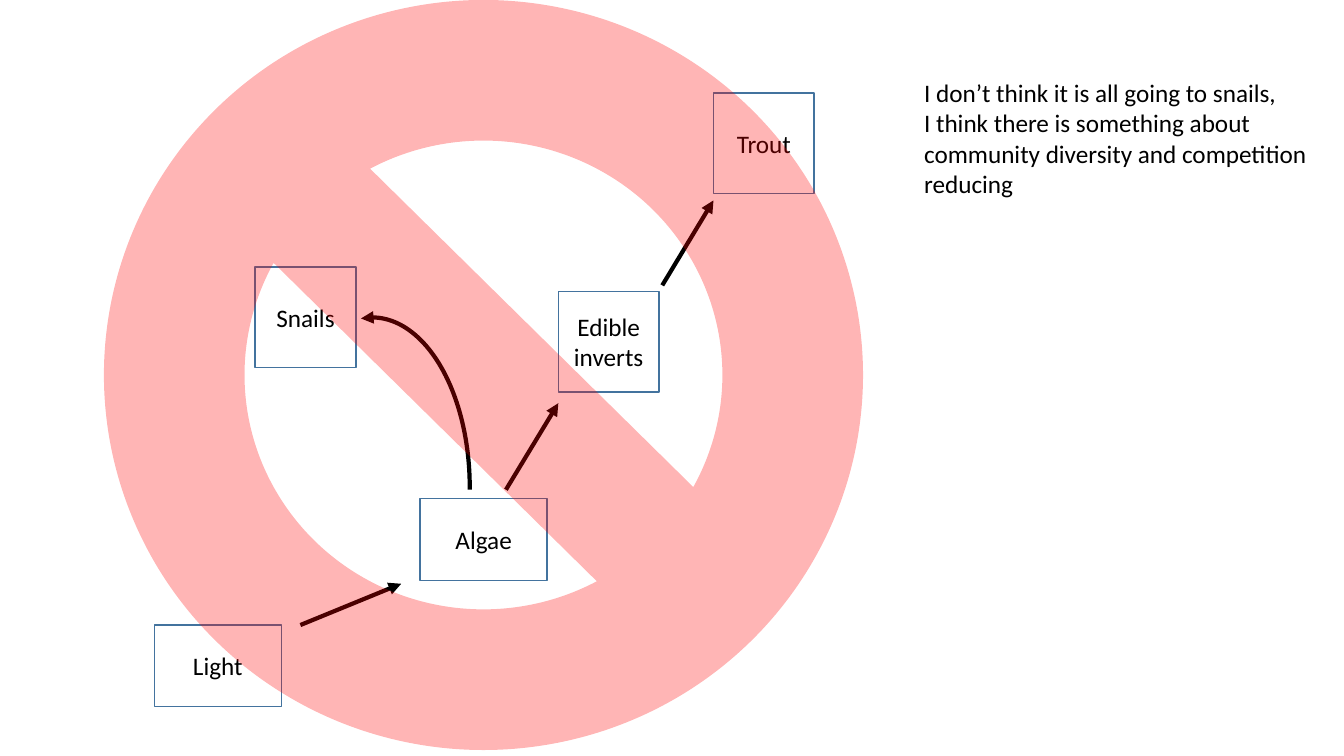
from pptx import Presentation
from pptx.dml.color import RGBColor
from pptx.enum import shapes, text
from pptx.oxml import ns, xmlchemy
from pptx.util import Cm, Pt

BLACK, BLUE, RED = "000000", "43739E", "FF0000"
SQUARE, WIDE = (2.54, 2.54), (3.2, 2.06)
ORGANISMS = [
    ("Snails", 3.81, 6.73, SQUARE),
    ("Edible inverts", 11.45, 7.34, SQUARE),
    ("Light", 1.27, 15.75, WIDE),
    ("Trout", 15.36, 2.34, SQUARE),
    ("Algae", 7.97, 12.57, WIDE),
]
FLOWS = [
    (10.13, 12.34, 11.45, 10.16),
    (14.07, 7.19, 15.36, 5.05),
    (4.95, 15.75, 7.49, 14.71),
]
REMARKS = [
    "I don’t think it is all going to snails,",
    "I think there is something about community diversity and competition reducing",
]


def colour(code):
    """Return the colour for a hex string."""
    return RGBColor.from_string(code)


def add_child(parent, tag, **attributes):
    """Append an XML element with the given attributes."""
    child = xmlchemy.OxmlElement(tag)
    for name, value in attributes.items():
        child.set(name, value)
    parent.append(child)


def write(para, words):
    """Add one run of body text to a paragraph."""
    span = para.add_run()
    span.text = words
    span.font.name, span.font.size = "Calibri", Pt(18)
    span.font.color.rgb = colour(BLACK)


def outline(item, code, width):
    """Give a shape or connector a solid line."""
    item.line.color.rgb = colour(code)
    item.line.width = Pt(width)


def add_arrowhead(item, end):
    """Put a triangle at the head or tail end of a line."""
    add_child(item.element.spPr.find(ns.qn("a:ln")), f"a:{end}End", type="triangle")


def add_plain_shape(page, kind, left, top, width, height):
    """Add an unfilled preset shape without shadow."""
    shape = page.shapes.add_shape(kind, Cm(left), Cm(top), Cm(width), Cm(height))
    shape.shadow.inherit = False
    shape.fill.background()
    return shape


def add_organism(page, name, left, top, size):
    """Draw one labelled box of the food web."""
    box = add_plain_shape(page, shapes.MSO_SHAPE.RECTANGLE, left, top, *size)
    outline(box, BLUE, 1)
    box.text_frame.vertical_anchor = text.MSO_ANCHOR.MIDDLE
    para = box.text_frame.paragraphs[0]
    para.alignment = text.PP_ALIGN.CENTER
    write(para, name)


def add_flow(page, x1, y1, x2, y2):
    """Draw one straight arrow of the food web."""
    arrow = page.shapes.add_connector(
        shapes.MSO_CONNECTOR.STRAIGHT, Cm(x1), Cm(y1), Cm(x2), Cm(y2))
    outline(arrow, BLACK, 3)
    add_arrowhead(arrow, "tail")
    add_child(arrow.element.spPr, "a:effectLst")


def add_curved_flow(page, left, top, width, height):
    """Draw the curved arrow from algae to snails."""
    curve = add_plain_shape(page, shapes.MSO_SHAPE.ARC, left, top, width, height)
    curve.adjustments[0], curve.adjustments[1] = 159.77, 0.84
    outline(curve, BLACK, 3)
    add_arrowhead(curve, "head")


def add_prohibition(page, left, top, width, height):
    """Cover the food web with a translucent prohibition sign."""
    sign = add_plain_shape(page, shapes.MSO_SHAPE.NO_SYMBOL, left, top, width, height)
    sign.fill.solid()
    sign.fill.fore_color.rgb = colour(RED)
    sign.line.fill.background()
    add_child(sign.element.spPr.find(ns.qn("a:solidFill"))[0], "a:alpha", val="29000")


def add_food_web(page, left, top, width, height):
    """Draw the crossed-out food web inside its box."""
    for name, x, y, size in ORGANISMS:
        add_organism(page, name, left + x, top + y, size)
    for x1, y1, x2, y2 in FLOWS:
        add_flow(page, left + x1, top + y1, left + x2, top + y2)
    add_curved_flow(page, left + 4.29, top + 8, 4.93, 8.56)
    add_prohibition(page, left, top, width, height)


def add_remarks(page, left, top, width, height):
    """Write the remarks, one paragraph each."""
    box = page.shapes.add_textbox(Cm(left), Cm(top), Cm(width), Cm(height))
    frame = box.text_frame
    frame.word_wrap = True
    frame.auto_size = text.MSO_AUTO_SIZE.SHAPE_TO_FIT_TEXT
    for index, words in enumerate(REMARKS):
        write(frame.add_paragraph() if index else frame.paragraphs[0], words)


deck = Presentation()
deck.slide_width, deck.slide_height = Cm(33.87), Cm(19.05)
page = deck.slides.add_slide(deck.slide_layouts[6])
add_food_web(page, 2.62, 0, 19.13, 18.9)
add_remarks(page, 23.04, 1.83, 10.82, 3.33)
deck.save("out.pptx")
